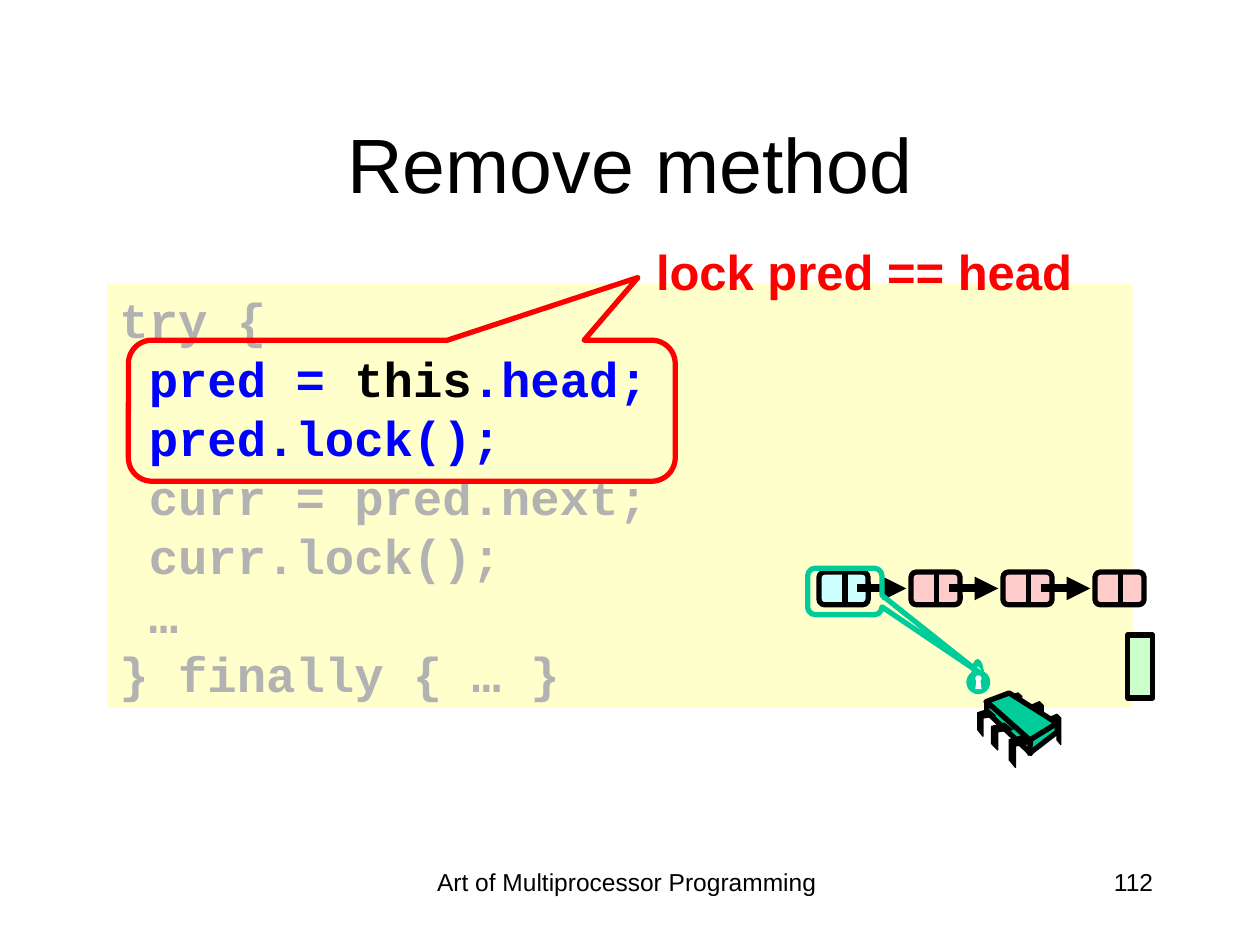
import math

import pptx
import pptx.dml.color
import pptx.enum.dml
import pptx.enum.shapes
import pptx.enum.text
import pptx.util
from lxml import etree

Pt = pptx.util.Pt
SHAPE = pptx.enum.shapes.MSO_SHAPE
ALIGN = pptx.enum.text.PP_ALIGN
ANCHOR = pptx.enum.text.MSO_ANCHOR

BLACK, WHITE, RED, GREEN = "000000", "FFFFFF", "FF0000", "00CC99"
BLUE, GREY = "0000FF", "B2B2B2"

LABELS = [
    ((223.2, 491.8, 270, 36), [("Art of Multiprocessor Programming", 14)], BLACK, False, ALIGN.CENTER, ANCHOR.TOP),
    ((516.2, 491.8, 149.8, 36), [("112", 14)], BLACK, False, ALIGN.RIGHT, ANCHOR.TOP),
    ((54, 48.2, 612, 90), [("Remove method", 44)], BLACK, False, ALIGN.CENTER, ANCHOR.MIDDLE),
    ((349.9, 130.3, 296.6, 46.1), [("lock pred == head", 28), (" ", 32)], RED, True, ALIGN.CENTER, ANCHOR.TOP),
]

CODE = [
    [("try {", GREY)],
    [(" pred = ", BLUE), ("this", BLACK), (".head;", BLUE)],
    [(" pred.lock();", BLUE)],
    [(" curr = pred.next;", GREY)],
    [(" curr.lock();", GREY)],
    [(" …", GREY)],
    [("} finally { … }", GREY)],
]

NODE_FILLS = ["CCFFFF", "FFCCCC", "FFCCCC", "FFCCCC"]
NODE_LEFT, NODE_TOP, NODE_WIDTH, NODE_HEIGHT, NODE_PITCH = 468, 326.9, 28.1, 18.7, 52.56

BACK_LEG = [(0, 2.2), (5, 0), (7.2, 2.2), (7.2, 17.3), (5, 14.6), (5, 5), (0, 7.2)]
FRONT_LEG = [(7.2, 0), (12.2, 4.3), (3.6, 5.8), (3.6, 18), (0, 13.7), (0, 2.2)]
BACK_LEGS = [(599, 408.2, 1, 1), (589, 401, 1, 1), (576.7, 396, 1, 0.86)]
FRONT_LEGS = [(576.7, 420.5, 1, 1), (566.6, 413.3, 1, 0.85), (558.7, 405.4, 0.82, 0.85)]
CHIP_FACES = [
    [(576.7, 396), (604.1, 413.3), (589, 423.4), (563.4, 401)],
    [(563.8, 401), (589, 423.4), (589, 430.6), (563.8, 406.8)],
    [(604.1, 413.3), (604.1, 418.3), (588.2, 430.6), (589, 422.6)],
]
KEYHOLE = [(557.3, 393.8), (558, 388.8), (560.2, 388.8), (560.9, 393.8)]

deck = pptx.Presentation()
deck.slide_width, deck.slide_height = Pt(720), Pt(540)
slide = deck.slides.add_slide(deck.slide_layouts[6])


def rgb(code):
    return pptx.dml.color.RGBColor.from_string(code)


def paint(shape, fill=None, line=None, width=3):
    shape.shadow.inherit = False
    if fill:
        shape.fill.solid()
        shape.fill.fore_color.rgb = rgb(fill)
    else:
        shape.fill.background()
    if line:
        shape.line.color.rgb = rgb(line)
        shape.line.width = Pt(width)
    else:
        shape.line.fill.background()


def add_preset(kind, box, fill=None, line=None, adjustments=()):
    shape = slide.shapes.add_shape(kind, *map(Pt, box))
    paint(shape, fill, line)
    for index, value in enumerate(adjustments):
        shape.adjustments[index] = value
    return shape


def add_outline(points, fill, line=None, width=3):
    corners = [(Pt(x), Pt(y)) for x, y in points]
    builder = slide.shapes.build_freeform(*corners[0])
    builder.add_line_segments(corners[1:], close=True)
    paint(builder.convert_to_shape(), fill, line, width)


def add_line(x1, y1, x2, y2, width, arrow=False):
    line = slide.shapes.add_connector(
        pptx.enum.shapes.MSO_CONNECTOR.STRAIGHT, Pt(x1), Pt(y1), Pt(x2), Pt(y2))
    line.line.color.rgb = rgb(BLACK)
    line.line.width = Pt(width)
    properties = line._element.spPr
    namespace = "{" + properties.nsmap["a"] + "}"
    if arrow:
        etree.SubElement(line.line._get_or_add_ln(), namespace + "tailEnd", type="triangle")
    etree.SubElement(properties, namespace + "effectLst")


def add_label(box, runs, color, bold, align, anchor):
    frame = slide.shapes.add_textbox(*map(Pt, box)).text_frame
    frame.word_wrap = True
    frame.vertical_anchor = anchor
    paragraph = frame.paragraphs[0]
    paragraph.alignment = align
    paragraph.font.name = "Arial"
    paragraph.font.bold = bold
    paragraph.font.color.rgb = rgb(color)
    paragraph.font.size = Pt(runs[0][1])
    for text, size in runs:
        run = paragraph.add_run()
        run.text = text
        run.font.size = Pt(size)


def add_code(box):
    frame = add_preset(SHAPE.RECTANGLE, box, "FFFFCC").text_frame
    frame.word_wrap = True
    frame.vertical_anchor = ANCHOR.TOP
    for index, pieces in enumerate(CODE):
        paragraph = frame.add_paragraph() if index else frame.paragraphs[0]
        paragraph.alignment = ALIGN.LEFT
        paragraph.line_spacing = Pt(33.7)
        paragraph.font.name = "Courier New"
        paragraph.font.size = Pt(28)
        paragraph.font.bold = True
        for text, color in pieces:
            run = paragraph.add_run()
            run.text = text
            run.font.color.rgb = rgb(color)


def add_list_nodes():
    lefts = [NODE_LEFT + index * NODE_PITCH for index in range(len(NODE_FILLS))]
    for left, fill in zip(lefts, NODE_FILLS):
        add_preset(SHAPE.ROUNDED_RECTANGLE, (left, NODE_TOP, NODE_WIDTH, NODE_HEIGHT),
                   fill, BLACK, [0.167])
        divider = left + 14.8
        add_line(divider, NODE_TOP, divider, NODE_TOP + NODE_HEIGHT, 3)
    middle = NODE_TOP + NODE_HEIGHT / 2
    for left in lefts[:-1]:
        add_line(left + 21.6, middle, left + 49.9, middle, 4.5, arrow=True)


def arc(radius_x, radius_y, degrees):
    return [(558.7 + radius_x * math.cos(math.radians(angle)),
             385.2 - radius_y * math.sin(math.radians(angle))) for angle in degrees]


def add_padlock():
    add_preset(SHAPE.OVAL, (552.2, 383, 13.7, 13.7), GREEN)
    add_preset(SHAPE.OVAL, (557.3, 385.9, 3.6, 3.6), WHITE)
    add_outline(KEYHOLE, WHITE)
    add_outline(arc(2.2, 4.3, range(180, -1, -15)) + arc(3.6, 8.6, range(0, 181, 15)), GREEN)


def add_legs(leg, places):
    for left, top, scale_x, scale_y in places:
        add_outline([(left + x * scale_x, top + y * scale_y) for x, y in leg], BLACK, BLACK, 0.75)


for label in LABELS[:3]:
    add_label(*label)
add_code((61.2, 162, 586.1, 242.6))
add_preset(SHAPE.ROUNDED_RECTANGULAR_CALLOUT, (73.4, 194.4, 312.5, 80.6),
           None, RED, [0.432, -0.945, 0.167])
add_label(*LABELS[3])
add_preset(SHAPE.RECTANGLE, (644.4, 362.9, 14.4, 36), "CCFFCC", BLACK)
add_list_nodes()
add_preset(SHAPE.ROUNDED_RECTANGULAR_CALLOUT, (461.5, 324.7, 42.5, 26.6),
           None, GREEN, [1.813, 1.749, 0.167])
add_padlock()
add_legs(BACK_LEG, BACK_LEGS)
for face in CHIP_FACES:
    add_outline(face, GREEN, BLACK)
add_legs(FRONT_LEG, FRONT_LEGS)

deck.save("out.pptx")
